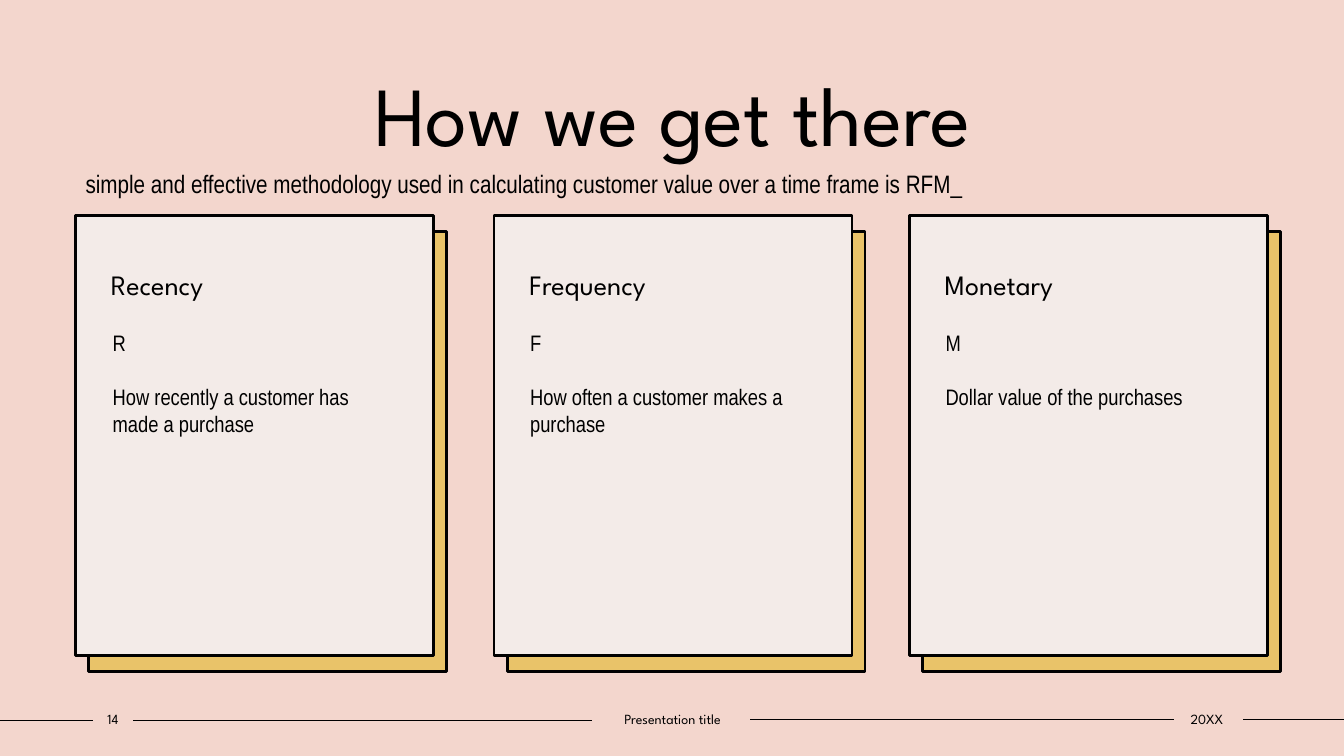
from lxml import etree
from pptx import Presentation
from pptx.dml.color import RGBColor
from pptx.enum import shapes, text
from pptx.oxml import ns
from pptx.util import Inches, Pt

PINK = RGBColor(0xF3, 0xD6, 0xCD)
GOLD = RGBColor(0xE9, 0xC3, 0x69)
PALE = RGBColor(0xF3, 0xEB, 0xE8)
BLACK = RGBColor(0, 0, 0)

HEAD = "League Spartan"
BODY = "Arial Narrow"
LEFT, MID = text.PP_ALIGN.LEFT, text.PP_ALIGN.CENTER
TOP, CENTER, BASE = (text.MSO_ANCHOR.TOP, text.MSO_ANCHOR.MIDDLE,
                     text.MSO_ANCHOR.BOTTOM)
PAD = (0.1, 0.05, 0.1, 0.05)
TIGHT = (0, 0.05, 0, 0.05)

CARD_W, CARD_H, CARD_Y = 3.55, 4.36, 2.14
# card left, shade left, note left, heading, note paragraphs
CARDS = [
    (0.75, 0.88, 1.02, "Recency",
     ["R", "How recently a customer has made a purchase"]),
    (4.9, 5.03, 5.16, "Frequency",
     ["F", "How often a customer makes a purchase"]),
    (9.02, 9.15, 9.28, "Monetary",
     ["M", "Dollar value of the purchases"]),
]
RULES = [(0, 0.92, 7.15), (1.32, 5.87, 7.15),
         (7.44, 11.64, 7.14), (12.33, 13.33, 7.14)]
FOOTER = [(0.92, 0.4, "14"), (5.87, 1.6, "Presentation title"),
          (11.62, 0.7, "20XX")]


def write(shape, lines, size, font, align=LEFT, anchor=TOP, pad=PAD,
          gap=0, lead=None):
    """Fill a shape with paragraphs, set gap points apart."""
    frame = shape.text_frame
    sides = ("margin_left", "margin_top", "margin_right", "margin_bottom")
    form = {"word_wrap": True, "vertical_anchor": anchor}
    form.update(zip(sides, map(Inches, pad)))
    for key, val in form.items():
        setattr(frame, key, val)
    for i, line in enumerate(lines):
        para = frame.add_paragraph() if i else frame.paragraphs[0]
        para.text = line
        para.alignment = align
        para.line_spacing = lead
        if i:
            para.space_before = Pt(gap)
        for key, val in {"size": Pt(size), "name": font}.items():
            setattr(para.font, key, val)
        para.font.color.rgb = BLACK


def add_text(slide, box, lines, size, font, **form):
    shape = slide.shapes.add_textbox(*map(Inches, box))
    write(shape, lines, size, font, **form)


def add_panel(slide, x, y, fill):
    panel = slide.shapes.add_shape(
        shapes.MSO_SHAPE.RECTANGLE, *map(Inches, (x, y, CARD_W, CARD_H)))
    panel.shadow.inherit = False
    panel.fill.solid()
    panel.fill.fore_color.rgb = fill
    panel.line.color.rgb = BLACK
    panel.line.width = Pt(2)
    return panel


def add_rule(slide, start, end, y):
    rule = slide.shapes.add_connector(
        shapes.MSO_CONNECTOR.STRAIGHT, *map(Inches, (start, y, end, y)))
    rule.line.color.rgb = BLACK
    rule.line.width = Pt(1)
    etree.SubElement(rule._element.spPr, ns.qn("a:effectLst"))


def add_card(slide, x, shade, note, head, lines):
    add_panel(slide, shade, CARD_Y + 0.16, GOLD)
    card = add_panel(slide, x, CARD_Y, PALE)
    write(card, [head], 20, HEAD, pad=(0.35, 0.55, 0.1, 0.05), lead=0.9)
    add_text(slide, (note, 3.22, 3, 3.05), lines, 16, BODY, gap=19)


def main():
    deck = Presentation()
    deck.slide_width, deck.slide_height = Inches(13.33), Inches(7.5)
    slide = deck.slides.add_slide(deck.slide_layouts[6])
    slide.background.fill.solid()
    slide.background.fill.fore_color.rgb = PINK

    for rule in RULES:
        add_rule(slide, *rule)
    add_text(slide, (1.25, 0.56, 10.84, 1.11), ["How we get there"],
             60, HEAD, align=MID, anchor=BASE)
    for card in CARDS:
        add_card(slide, *card)
    for x, width, label in FOOTER:
        add_text(slide, (x, 7, width, 0.27), [label], 10, HEAD,
                 align=MID, anchor=CENTER, pad=TIGHT)
    add_text(slide, (0.75, 1.62, 8.99, 0.4),
             ["simple and effective methodology used in calculating "
              "customer value over a time frame is RFM_"], 18, BODY)
    deck.save("out.pptx")


if __name__ == "__main__":
    main()
